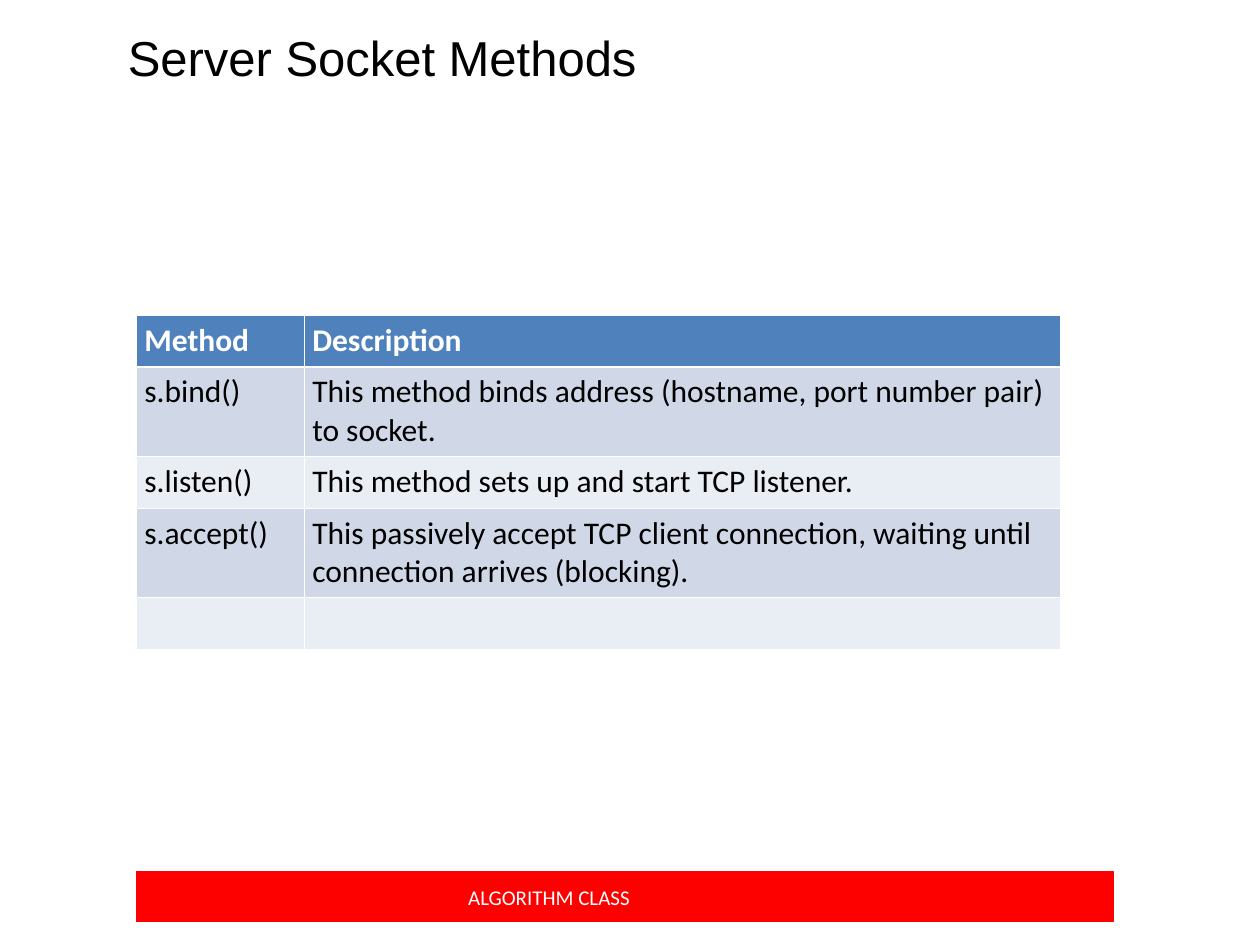
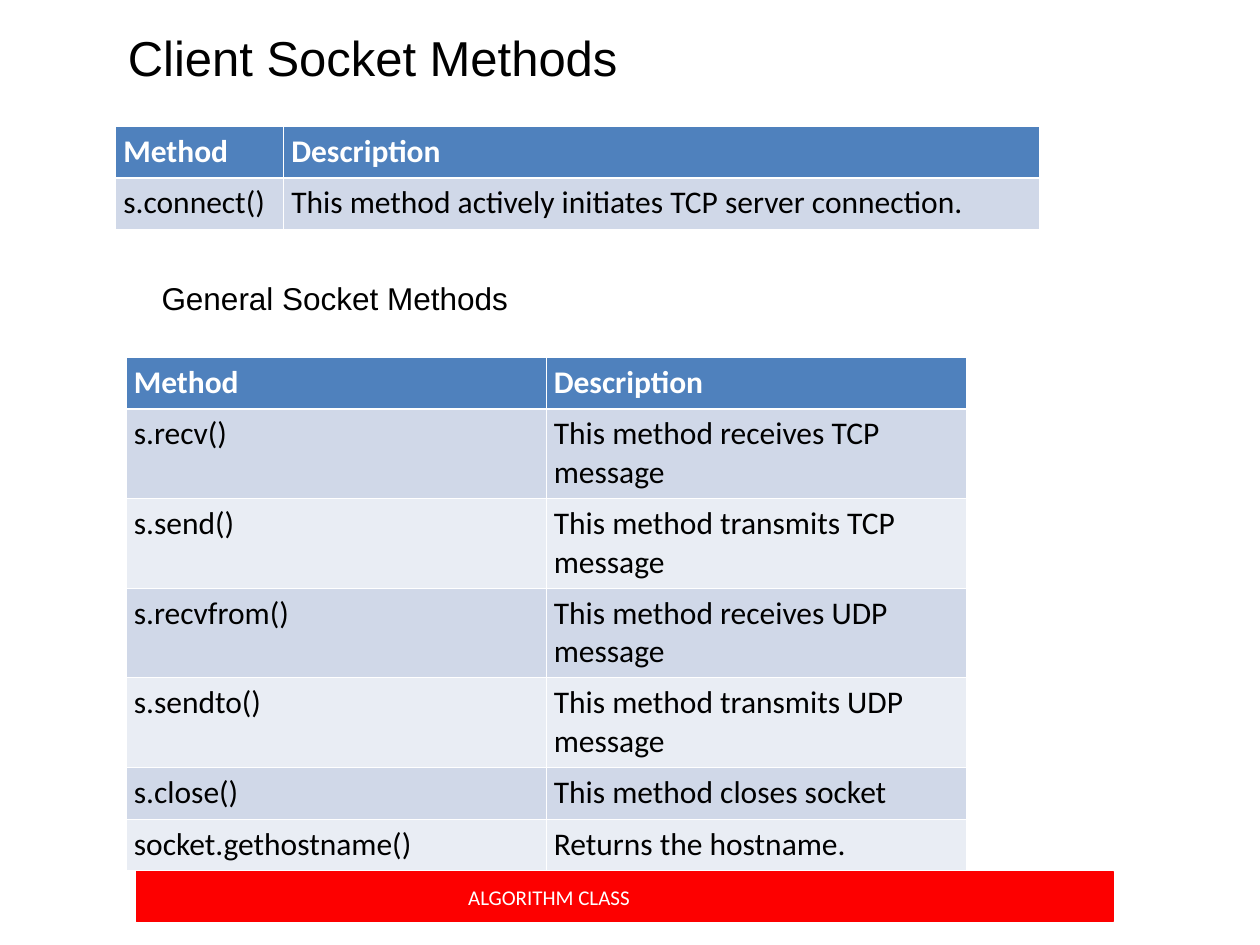
import dataclasses
import typing

import lxml.etree
import pptx
import pptx.dml.color
import pptx.enum.shapes
import pptx.enum.text
import pptx.oxml.ns
import pptx.presentation
import pptx.shapes.base
import pptx.slide
import pptx.table
import pptx.text.text
import pptx.util

# Grid: 120 columns by 90 rows, twelve to the inch
SLIDE_WIDTH = pptx.util.Inches(10)
SLIDE_HEIGHT = pptx.util.Inches(7.5)
COLUMNS, ROWS = 120, 90


def columns(count: float) -> pptx.util.Emu:
    return pptx.util.Emu(round(SLIDE_WIDTH * count / COLUMNS))


def rows(count: float) -> pptx.util.Emu:
    return pptx.util.Emu(round(SLIDE_HEIGHT * count / ROWS))


@dataclasses.dataclass(frozen=True)
class TextStyle:
    size: float
    font: str
    color: str
    bold: bool = False


@dataclasses.dataclass(frozen=True)
class Theme:
    footer_fill: str = "FD0000"
    header_fill: str = "4F81BD"
    band_fills: tuple[str, str] = ("D0D8E8", "E9EDF4")
    border: str = "FFFFFF"
    thin_border: float = 0.45
    header_border: float = 1.47
    title: TextStyle = TextStyle(28, "Arial", "000000")
    subtitle: TextStyle = TextStyle(18, "Arial", "000000")
    footer: TextStyle = TextStyle(12, "Calibri", "FFFFFF")
    table_header: TextStyle = TextStyle(18, "Calibri", "FFFFFF", True)
    table_body: TextStyle = TextStyle(18, "Calibri", "000000")


THEME = Theme()


class Box(typing.NamedTuple):
    left: float
    top: float
    width: float
    height: float

    def place(self) -> tuple[pptx.util.Emu, ...]:
        return columns(self.left), rows(self.top), columns(self.width), rows(self.height)


class Method(typing.NamedTuple):
    call: str
    description: str
    lines: int = 1


@dataclasses.dataclass(frozen=True)
class MethodTable:
    left: float
    top: float
    column_widths: tuple[float, float]
    methods: tuple[Method, ...]


@dataclasses.dataclass(frozen=True)
class Label:
    text: str
    box: Box
    style: TextStyle
    wrap: bool = True


@dataclasses.dataclass(frozen=True)
class SocketSlide:
    title: str
    tables: tuple[MethodTable, ...]
    labels: tuple[Label, ...] = ()


# Shared places
TITLE_BOX = Box(11, 2, 90, 6.8)
FOOTER_BOX = Box(13, 83, 93, 4.8)
FOOTER_TEXT = "ALGORITHM CLASS"
FOOTER_RIGHT_INSET = 15.6
CELL_INSET = 0.75
CELL_PADDING, LINE_HEIGHT = 1.3, 3.62
HEADER = Method("Method", "Description")
NARROW_AND_WIDE = (16, 72)
HALVES = (40, 40)

# Slide content
SLIDES = (
    SocketSlide(
        "Server Socket Methods",
        (MethodTable(13, 30, NARROW_AND_WIDE, (
            Method("s.bind()", "This method binds address (hostname, port number pair) to socket.", 2),
            Method("s.listen()", "This method sets up and start TCP listener."),
            Method("s.accept()", "This passively accept TCP client connection, "
                   "waiting until connection arrives (blocking).", 2),
            Method("", ""),
        )),),
    ),
    SocketSlide(
        "Client Socket Methods",
        (
            MethodTable(11, 12, NARROW_AND_WIDE, (
                Method("s.connect()", "This method actively initiates TCP server connection."),
            )),
            MethodTable(12, 34, HALVES, (
                Method("s.recv()", "This method receives TCP message", 2),
                Method("s.send()", "This method transmits TCP message", 2),
                Method("s.recvfrom()", "This method receives UDP message", 2),
                Method("s.sendto()", "This method transmits UDP message", 2),
                Method("s.close()", "This method closes socket"),
                Method("socket.gethostname()", "Returns the hostname."),
            )),
        ),
        (Label("General Socket Methods", Box(14.2, 26, 35.4, 8.4), THEME.subtitle, False),),
    ),
)


def color(value: str) -> pptx.dml.color.RGBColor:
    return pptx.dml.color.RGBColor.from_string(value)


def write(frame: pptx.text.text.TextFrame, text: str, style: TextStyle) -> None:
    run = frame.paragraphs[0].add_run()
    run.text = text
    run.font.size = pptx.util.Pt(style.size)
    run.font.name = style.font
    run.font.bold = style.bold
    run.font.color.rgb = color(style.color)


def add_label(slide: pptx.slide.Slide, label: Label) -> None:
    shape = slide.shapes.add_textbox(*label.box.place())
    shape.text_frame.word_wrap = label.wrap
    write(shape.text_frame, label.text, label.style)


def add_footer(slide: pptx.slide.Slide) -> None:
    shape = slide.shapes.add_shape(
        pptx.enum.shapes.MSO_SHAPE.RECTANGLE, *FOOTER_BOX.place())
    shape.shadow.inherit = False
    shape.fill.solid()
    shape.fill.fore_color.rgb = color(THEME.footer_fill)
    shape.line.color.rgb = color(THEME.footer_fill)
    shape.line.width = pptx.util.Pt(0.75)
    frame = shape.text_frame
    frame.word_wrap = True
    frame.vertical_anchor = pptx.enum.text.MSO_ANCHOR.MIDDLE
    frame.margin_right = columns(FOOTER_RIGHT_INSET)
    frame.paragraphs[0].alignment = pptx.enum.text.PP_ALIGN.CENTER
    write(frame, FOOTER_TEXT, THEME.footer)


def set_borders(cell: pptx.table._Cell, row: int) -> None:
    """Thin borders, with a thicker rule between header and body."""
    widths = {
        "lnL": THEME.thin_border,
        "lnR": THEME.thin_border,
        "lnT": THEME.header_border if row == 1 else THEME.thin_border,
        "lnB": THEME.header_border if row == 0 else THEME.thin_border,
    }
    properties = cell._tc.get_or_add_tcPr()
    qualified = pptx.oxml.ns.qn
    for side, width in widths.items():
        line = lxml.etree.SubElement(
            properties, qualified(f"a:{side}"), w=str(int(pptx.util.Pt(width))))
        fill = lxml.etree.SubElement(line, qualified("a:solidFill"))
        lxml.etree.SubElement(fill, qualified("a:srgbClr"), val=THEME.border)


def fill_cell(cell: pptx.table._Cell, row: int, text: str) -> None:
    set_borders(cell, row)
    cell.fill.solid()
    cell.fill.fore_color.rgb = color(
        THEME.band_fills[(row - 1) % 2] if row else THEME.header_fill)
    cell.margin_left = cell.margin_right = columns(CELL_INSET)
    if text:
        write(cell.text_frame, text, THEME.table_body if row else THEME.table_header)


def add_method_table(slide: pptx.slide.Slide, content: MethodTable) -> None:
    entries = (HEADER, *content.methods)
    heights = [CELL_PADDING + LINE_HEIGHT * entry.lines for entry in entries]
    box = Box(content.left, content.top, sum(content.column_widths), sum(heights))
    table = slide.shapes.add_table(
        len(entries), len(content.column_widths), *box.place()).table
    for column, width in zip(table.columns, content.column_widths):
        column.width = columns(width)
    for row, (entry, height) in enumerate(zip(entries, heights)):
        table.rows[row].height = rows(height)
        for column, text in enumerate((entry.call, entry.description)):
            fill_cell(table.cell(row, column), row, text)


def add_socket_slide(presentation: pptx.presentation.Presentation, content: SocketSlide) -> None:
    slide = presentation.slides.add_slide(presentation.slide_layouts[6])
    add_label(slide, Label(content.title, TITLE_BOX, THEME.title))
    add_footer(slide)
    for table in content.tables:
        add_method_table(slide, table)
    for label in content.labels:
        add_label(slide, label)


def main() -> None:
    presentation = pptx.Presentation()
    presentation.slide_width = SLIDE_WIDTH
    presentation.slide_height = SLIDE_HEIGHT
    for content in SLIDES:
        add_socket_slide(presentation, content)
    presentation.save("out.pptx")


if __name__ == "__main__":
    main()
